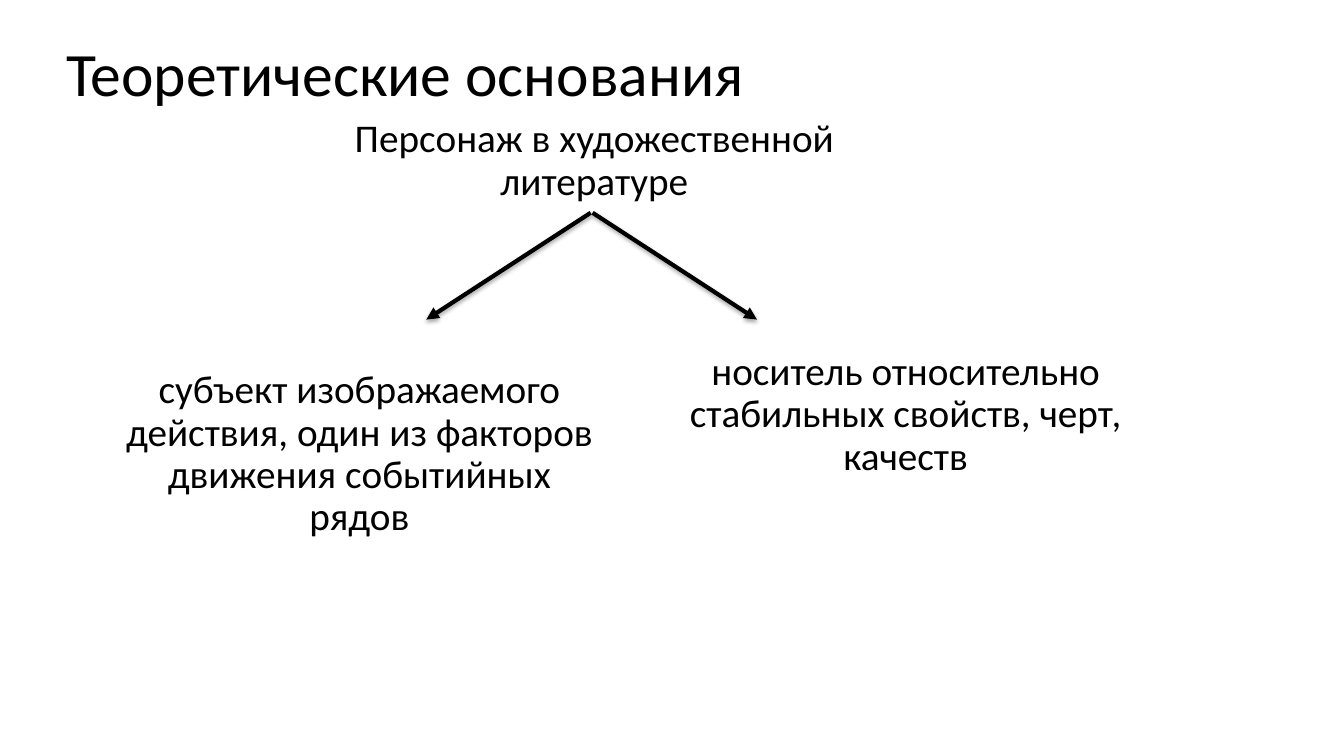
from lxml.etree import SubElement
from pptx import Presentation
from pptx.dml.color import RGBColor
from pptx.enum.shapes import MSO_CONNECTOR
from pptx.enum.text import MSO_ANCHOR, PP_ALIGN
from pptx.oxml.ns import qn
from pptx.util import Pt

COLORS = {"ink": "000000", "paper": "FFFFFF"}
FONT = "Calibri"
BRANCH_WIDTH = 359.3


def add_text(page, box, text, size=28, align=PP_ALIGN.CENTER, anchor=MSO_ANCHOR.TOP, before=10):
    """Place one wrapped paragraph in the given box."""
    frame = page.shapes.add_textbox(*map(Pt, box)).text_frame
    para = frame.paragraphs[0]
    span = para.add_run()
    span.text = text
    span.font.color.rgb = RGBColor.from_string(COLORS["ink"])
    formats = (
        (frame, {"word_wrap": True, "vertical_anchor": anchor}),
        (para, {"alignment": align, "line_spacing": 0.9, "space_before": Pt(before)}),
        (span.font, {"name": FONT, "size": Pt(size)}),
    )
    for target, values in formats:
        for name, value in values.items():
            setattr(target, name, value)


def add_arrow(page, start, end):
    """Draw a softly shadowed arrow from start to end."""
    arrow = page.shapes.add_connector(MSO_CONNECTOR.STRAIGHT, *map(Pt, start + end))
    arrow.line.width = Pt(3)
    arrow.line.color.rgb = RGBColor.from_string(COLORS["ink"])
    properties = arrow.line._get_or_add_ln()
    SubElement(properties, qn("a:tailEnd"), type="triangle")
    effects = SubElement(properties.getparent(), qn("a:effectLst"))
    shadow = SubElement(effects, qn("a:outerShdw"), blurRad=str(Pt(3.1)), dist=str(Pt(1.8)),
                        dir="5400000", rotWithShape="0")
    shade = SubElement(shadow, qn("a:srgbClr"), val=COLORS["ink"])
    SubElement(shade, qn("a:alpha"), val="35000")


def add_title(page, box):
    """Place the slide title in the given box."""
    add_text(page, box, "Теоретические основания", size=44, align=PP_ALIGN.LEFT,
             anchor=MSO_ANCHOR.MIDDLE, before=0)


def add_diagram(page, box):
    """Place the concept and its two branches relative to the given box."""
    left, top, width, height = box
    add_text(page, (left + 167.8, top, BRANCH_WIDTH, 59), "Персонаж в художественной литературе")

    middle, fork = left + 345.6, top + 70.6
    for side in (-1, 1):
        start = (middle + side * 0.7, fork)
        add_arrow(page, start, (start[0] + side * 117.4, fork + 76.3))

    branches = (
        (left, 179.2, "субъект изображаемого действия, один из факторов движения событийных рядов"),
        (left + width - BRANCH_WIDTH, 166.3, "носитель относительно стабильных свойств, черт, качеств"),
    )
    for branch_left, drop, text in branches:
        add_text(page, (branch_left, top + drop, BRANCH_WIDTH, height - drop), text)


def main():
    """Build and save the deck."""
    deck = Presentation()
    deck.slide_width, deck.slide_height = Pt(960), Pt(540)
    page = deck.slides.add_slide(deck.slide_layouts[6])
    page.background.fill.solid()
    page.background.fill.fore_color.rgb = RGBColor.from_string(COLORS["paper"])
    add_title(page, (40.3, 0, 853.9, 109.4))
    add_diagram(page, (77, 81.4, 749.5, 312.5))
    deck.save("out.pptx")


if __name__ == "__main__":
    main()
